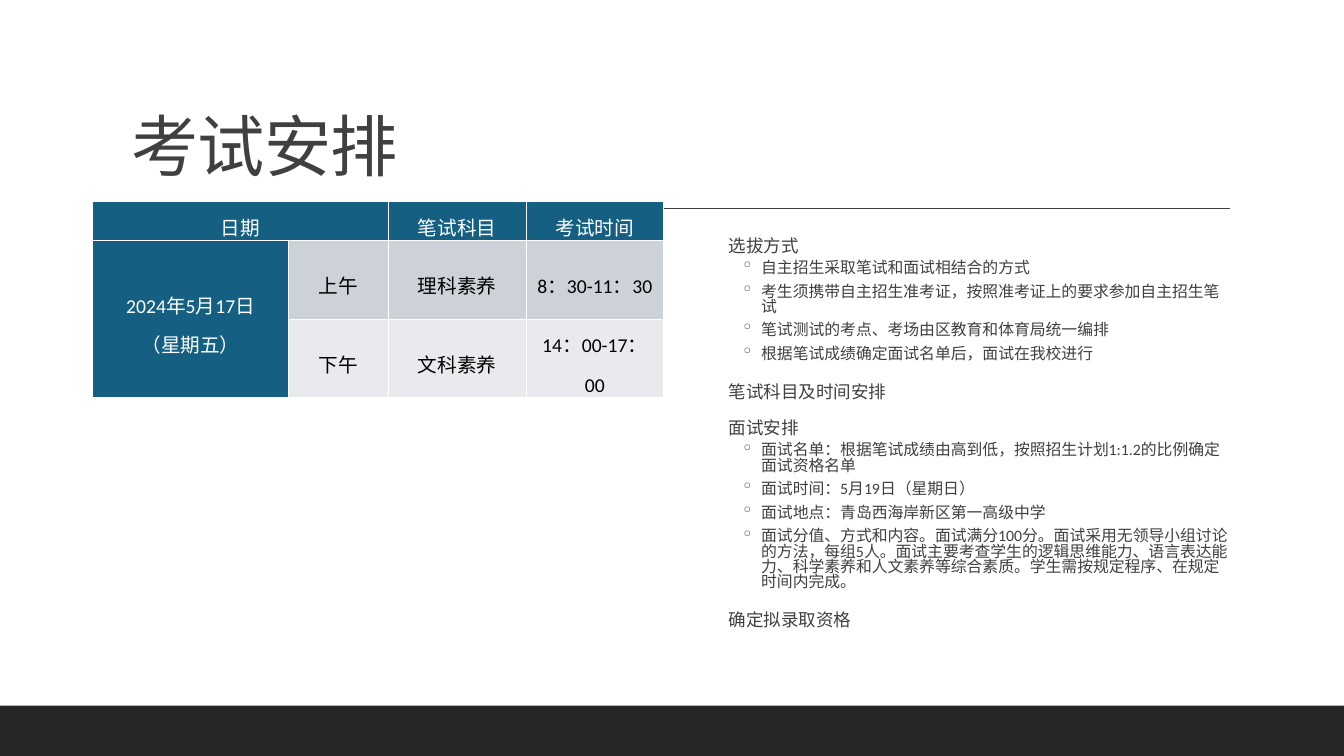
import pptx
import pptx.dml.color
import pptx.enum.shapes
import pptx.enum.text
import pptx.oxml
import pptx.oxml.ns
import pptx.util
from lxml import etree

Inches = pptx.util.Inches
Pt = pptx.util.Pt
PP_ALIGN = pptx.enum.text.PP_ALIGN
ANCHOR = pptx.enum.text.MSO_ANCHOR
qn = pptx.oxml.ns.qn
COLOURS = {"grey": "404040", "band": "262626", "blue": "156082", "white": "FFFFFF",
           "black": "000000", "morning": "CCD2D8", "afternoon": "E8EAED"}


def colour(name):
    return pptx.dml.color.RGBColor.from_string(COLOURS[name])


def write(para, text, size, ink, **layout):
    """Add one run to the paragraph and apply paragraph format values."""
    span = para.add_run()
    span.text = text
    for name, value in {"size": Pt(size), "name": "Calibri", "bold": False}.items():
        setattr(span.font, name, value)
    span.font.color.rgb = colour(ink)
    for name, value in layout.items():
        setattr(para, name, value)
    return span


deck = pptx.Presentation()
deck.slide_width, deck.slide_height = Inches(13.33), Inches(7.5)
page = deck.slides.add_slide(deck.slide_layouts[5])

# Footer band and title rule
band = page.shapes.add_shape(pptx.enum.shapes.MSO_SHAPE.RECTANGLE,
                             0, Inches(7), deck.slide_width, Inches(0.5))
band.shadow.inherit = False
band.fill.solid()
band.fill.fore_color.rgb = colour("band")
band.line.fill.background()

rule = page.shapes.add_connector(pptx.enum.shapes.MSO_CONNECTOR.STRAIGHT,
                                 Inches(1.31), Inches(2.07), Inches(12.2), Inches(2.07))
rule.line.color.rgb = colour("grey")
rule.line.width = Pt(1.25)
etree.SubElement(rule.element.spPr, qn("a:effectLst"))

# Title
title = page.shapes.title
title.left, title.top, title.width, title.height = map(Inches, (1.2, 0.31, 11, 1.59))
title.text_frame.auto_size = pptx.enum.text.MSO_AUTO_SIZE.NONE
title.text_frame.vertical_anchor = ANCHOR.BOTTOM
heading = write(title.text_frame.paragraphs[0], "考试安排", 48, "grey",
                alignment=PP_ALIGN.LEFT, line_spacing=0.9)
heading.font._element.set("spc", "-50")

# Timetable
SCHEDULE = [
    ["日期", "", "笔试科目", "考试时间"],
    ["2024年5月17日\n（星期五）", "上午", "理科素养", "8：30-11：30"],
    ["", "下午", "文科素养", "14：00-17：00"],
]
ROW_FILLS = ["blue", "morning", "afternoon"]
frame = page.shapes.add_table(3, 4, Inches(0.92), Inches(2), Inches(5.67), Inches(1.41))
table = frame.table
for column, width in zip(table.columns, (1.94, 0.99, 1.37, 1.36)):
    column.width = Inches(width)
for row, height in zip(table.rows, (0.3, 0.34, 0.26)):
    row.height = Inches(height)
frame.height = Inches(1.41)
table.cell(0, 0).merge(table.cell(0, 1))
table.cell(1, 0).merge(table.cell(2, 0))

CELL_FORMAT = {"margin_left": Inches(0.07), "margin_right": Inches(0.07),
               "margin_top": 0, "margin_bottom": 0, "vertical_anchor": ANCHOR.MIDDLE}
for row_index, texts in enumerate(SCHEDULE):
    for column_index, text in enumerate(texts):
        cell = table.cell(row_index, column_index)
        is_header = row_index == 0 or column_index == 0
        for name, value in CELL_FORMAT.items():
            setattr(cell, name, value)
        properties = cell._tc.get_or_add_tcPr()
        for side in ("L", "R", "T", "B"):
            edge = etree.SubElement(properties, qn(f"a:ln{side}"), w=str(Pt(1)))
            ink = etree.SubElement(edge, qn("a:solidFill"))
            etree.SubElement(ink, qn("a:srgbClr"), val=COLOURS["white"])
        cell.fill.solid()
        cell.fill.fore_color.rgb = colour("blue" if is_header else ROW_FILLS[row_index])
        if cell.is_spanned:
            continue
        for index, line in enumerate(text.split("\n")):
            para = cell.text_frame.add_paragraph() if index else cell.text_frame.paragraphs[0]
            write(para, line, 14, "white" if is_header else "black",
                  alignment=PP_ALIGN.CENTER, line_spacing=Pt(28))

# Arrangements: each heading with its points
ARRANGEMENTS = [
    ("选拔方式", [
        "自主招生采取笔试和面试相结合的方式",
        "考生须携带自主招生准考证，按照准考证上的要求参加自主招生笔试",
        "笔试测试的考点、考场由区教育和体育局统一编排",
        "根据笔试成绩确定面试名单后，面试在我校进行"]),
    ("笔试科目及时间安排", []),
    ("面试安排", [
        "面试名单：根据笔试成绩由高到低，按照招生计划1:1.2的比例确定面试资格名单",
        "面试时间：5月19日（星期日）",
        "面试地点：青岛西海岸新区第一高级中学",
        "面试分值、方式和内容。面试满分100分。面试采用无领导小组讨论的方法，每组5人。"
        "面试主要考查学生的逻辑思维能力、语言表达能力、科学素养和人文素养等综合素质。"
        "学生需按规定程序、在规定时间内完成。"]),
    ("确定拟录取资格", []),
]
STYLES = [
    {"size": 12.5, "before": 12, "after": 2, "margin": 0.1, "hang": 0.1, "bullet": " "},
    {"size": 11.3, "before": 2, "after": 4, "margin": 0.42, "hang": 0.2, "bullet": "◦"},
]
box = page.shapes.add_textbox(Inches(7.13), Inches(2.32), Inches(5.07), Inches(4.1))
body = box.text_frame
BODY_FORMAT = {"word_wrap": True, "margin_left": 0, "margin_right": 0,
               "margin_top": Inches(0.05), "margin_bottom": Inches(0.05)}
for name, value in BODY_FORMAT.items():
    setattr(body, name, value)

lines = []
for topic, points in ARRANGEMENTS:
    lines.append((0, topic))
    lines += [(1, point) for point in points]
for index, (level, text) in enumerate(lines):
    para = body.add_paragraph() if index else body.paragraphs[0]
    style = STYLES[level]
    write(para, text, style["size"], "grey", level=level, alignment=PP_ALIGN.LEFT,
          line_spacing=0.8, space_before=Pt(style["before"]), space_after=Pt(style["after"]))
    properties = para._p.get_or_add_pPr()
    properties.set("marL", str(Inches(style["margin"])))
    properties.set("indent", str(-Inches(style["hang"])))
    if level == 0:
        bullet_ink = etree.SubElement(properties, qn("a:buClr"))
        etree.SubElement(bullet_ink, qn("a:srgbClr"), val=COLOURS["blue"])
    etree.SubElement(properties, qn("a:buChar"), char=style["bullet"])

deck.save("out.pptx")
